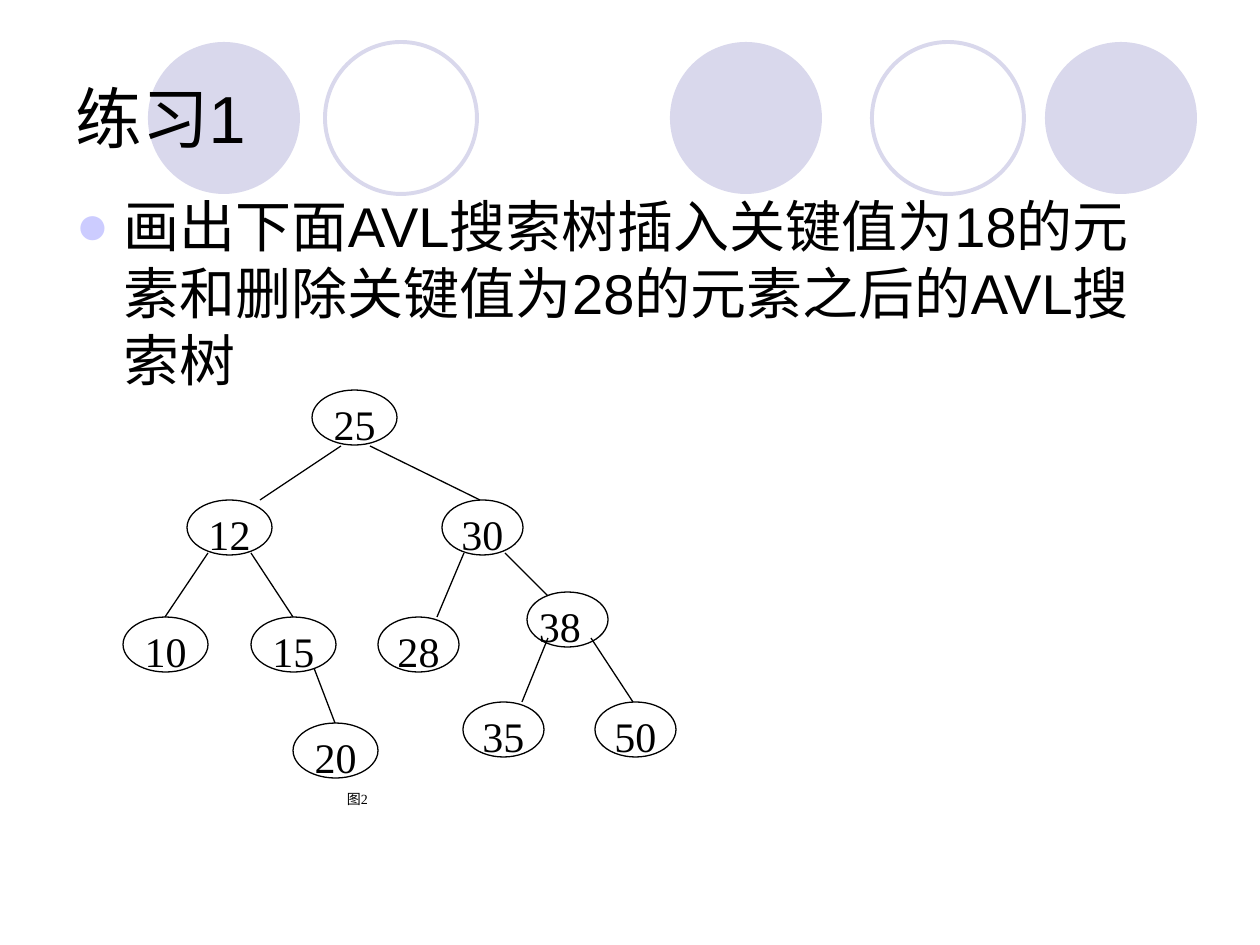
from dataclasses import dataclass

from lxml.etree import SubElement
from pptx import Presentation
from pptx.dml.color import RGBColor
from pptx.enum.shapes import MSO_CONNECTOR, MSO_SHAPE
from pptx.enum.text import MSO_ANCHOR, MSO_AUTO_SIZE, PP_ALIGN
from pptx.oxml.ns import qn
from pptx.shapes.autoshape import Shape
from pptx.slide import Slide
from pptx.text.text import _Paragraph as Paragraph
from pptx.util import Emu, Inches, Pt

PIXELS_PER_INCH = 126


@dataclass(frozen=True)
class Theme:
    ink: RGBColor = RGBColor(0, 0, 0)
    paper: RGBColor = RGBColor(255, 255, 255)
    circle: RGBColor = RGBColor(0xD9, 0xD8, 0xEC)
    bullet: str = "CCCCFF"
    text_font: str = "Arial"
    tree_font: str = "Times New Roman"
    title_size: int = 38
    body_size: int = 32
    key_size: int = 24
    caption_size: int = 8
    circle_line: float = 2.25
    tree_line: float = 0.75


@dataclass(frozen=True)
class Box:
    left: int
    top: int
    width: int
    height: int


@dataclass(frozen=True)
class Circle:
    left: int
    filled: bool


@dataclass(frozen=True)
class Node:
    key: int
    left: int
    top: int
    width: int
    alignment: PP_ALIGN = PP_ALIGN.CENTER


@dataclass(frozen=True)
class Edge:
    start: tuple[int, int]
    end: tuple[int, int]


THEME = Theme()
CIRCLE_TOP, CIRCLE_SIZE = 42, 152
NODE_HEIGHT = 55
WIDE, NARROW = 85, 81

TITLE_BOX = Box(63, 38, 1134, 157)
BODY_BOX = Box(63, 185, 1134, 660)
CAPTION_BOX = Box(294, 786, 127, 64)

CIRCLES = [
    Circle(670, True),
    Circle(1045, True),
    Circle(148, True),
    Circle(872, False),
    Circle(325, False),
]
NODES = [
    Node(25, 312, 390, WIDE),
    Node(12, 187, 500, WIDE),
    Node(30, 442, 500, NARROW),
    Node(10, 123, 617, WIDE),
    Node(15, 251, 617, WIDE),
    Node(28, 378, 617, NARROW),
    Node(38, 527, 592, NARROW, PP_ALIGN.LEFT),
    Node(20, 293, 723, WIDE),
    Node(35, 463, 702, NARROW),
    Node(50, 595, 702, NARROW),
]
EDGES = [
    Edge((341, 446), (260, 500)),
    Edge((370, 446), (480, 500)),
    Edge((208, 553), (165, 617)),
    Edge((251, 553), (293, 617)),
    Edge((464, 553), (437, 617)),
    Edge((505, 553), (548, 596)),
    Edge((314, 668), (335, 723)),
    Edge((548, 638), (522, 702)),
    Edge((591, 638), (633, 702)),
]


def px(length: int) -> Emu:
    return Emu(round(length * Inches(1) / PIXELS_PER_INCH))


def style_text(paragraph: Paragraph, font_name: str, size: int, alignment: PP_ALIGN) -> None:
    paragraph.alignment = alignment
    paragraph.font.name = font_name
    paragraph.font.size = Pt(size)
    paragraph.font.color.rgb = THEME.ink


def add_plain_shape(slide: Slide, kind: MSO_SHAPE, box: Box) -> Shape:
    """Add a shape without shadow, fill or line."""
    shape = slide.shapes.add_shape(kind, px(box.left), px(box.top), px(box.width), px(box.height))
    shape.shadow.inherit = False
    shape.fill.background()
    shape.line.fill.background()
    return shape


def add_circle(slide: Slide, circle: Circle) -> None:
    """Add a decorative circle behind the title."""
    shape = add_plain_shape(
        slide, MSO_SHAPE.OVAL, Box(circle.left, CIRCLE_TOP, CIRCLE_SIZE, CIRCLE_SIZE)
    )
    if circle.filled:
        shape.fill.solid()
        shape.fill.fore_color.rgb = THEME.circle
    else:
        shape.line.color.rgb = THEME.circle
        shape.line.width = Pt(THEME.circle_line)
    slide.shapes.title.element.addprevious(shape.element)


def fill_placeholder(shape: Shape, box: Box, text: str, anchor: MSO_ANCHOR) -> Paragraph:
    shape.left, shape.top = px(box.left), px(box.top)
    shape.width, shape.height = px(box.width), px(box.height)
    frame = shape.text_frame
    frame.text = text
    frame.auto_size = MSO_AUTO_SIZE.NONE
    frame.vertical_anchor = anchor
    return frame.paragraphs[0]


def add_bullet(paragraph: Paragraph) -> None:
    properties = paragraph._p.get_or_add_pPr()
    indent = px(48)
    properties.set("marL", str(indent))
    properties.set("indent", str(-indent))
    color = SubElement(properties, qn("a:buClr"))
    SubElement(color, qn("a:srgbClr"), val=THEME.bullet)
    SubElement(properties, qn("a:buChar"), char="●")


def add_node(slide: Slide, node: Node) -> None:
    shape = add_plain_shape(
        slide, MSO_SHAPE.OVAL, Box(node.left, node.top, node.width, NODE_HEIGHT)
    )
    shape.fill.solid()
    shape.fill.fore_color.rgb = THEME.paper
    shape.line.color.rgb = THEME.ink
    shape.line.width = Pt(THEME.tree_line)
    frame = shape.text_frame
    frame.margin_left = frame.margin_top = frame.margin_right = frame.margin_bottom = 0
    frame.vertical_anchor = MSO_ANCHOR.TOP
    frame.text = str(node.key)
    style_text(frame.paragraphs[0], THEME.tree_font, THEME.key_size, node.alignment)


def add_edge(slide: Slide, edge: Edge) -> None:
    line = slide.shapes.add_connector(
        MSO_CONNECTOR.STRAIGHT, *map(px, edge.start), *map(px, edge.end)
    )
    line.line.color.rgb = THEME.ink
    line.line.width = Pt(THEME.tree_line)
    SubElement(line.element.spPr, qn("a:effectLst"))


def add_caption(slide: Slide, text: str) -> None:
    shape = add_plain_shape(slide, MSO_SHAPE.RECTANGLE, CAPTION_BOX)
    frame = shape.text_frame
    frame.margin_left = frame.margin_right = px(10)
    frame.margin_top = frame.margin_bottom = px(5)
    frame.vertical_anchor = MSO_ANCHOR.TOP
    frame.text = text
    style_text(frame.paragraphs[0], THEME.tree_font, THEME.caption_size, PP_ALIGN.CENTER)


def main() -> None:
    presentation = Presentation()
    presentation.slide_width, presentation.slide_height = Inches(10), Inches(7.5)
    slide = presentation.slides.add_slide(presentation.slide_layouts[1])

    for circle in CIRCLES:
        add_circle(slide, circle)

    title = fill_placeholder(slide.shapes.title, TITLE_BOX, "练习1", MSO_ANCHOR.MIDDLE)
    style_text(title, THEME.text_font, THEME.title_size, PP_ALIGN.LEFT)

    task = "画出下面AVL搜索树插入关键值为18的元素和删除关键值为28的元素之后的AVL搜索树"
    body = fill_placeholder(slide.placeholders[1], BODY_BOX, task, MSO_ANCHOR.TOP)
    add_bullet(body)
    body.space_before = Pt(0)
    style_text(body, THEME.text_font, THEME.body_size, PP_ALIGN.LEFT)

    for node in NODES:
        add_node(slide, node)
    for edge in EDGES:
        add_edge(slide, edge)
    add_caption(slide, "图2")

    presentation.save("out.pptx")


if __name__ == "__main__":
    main()
